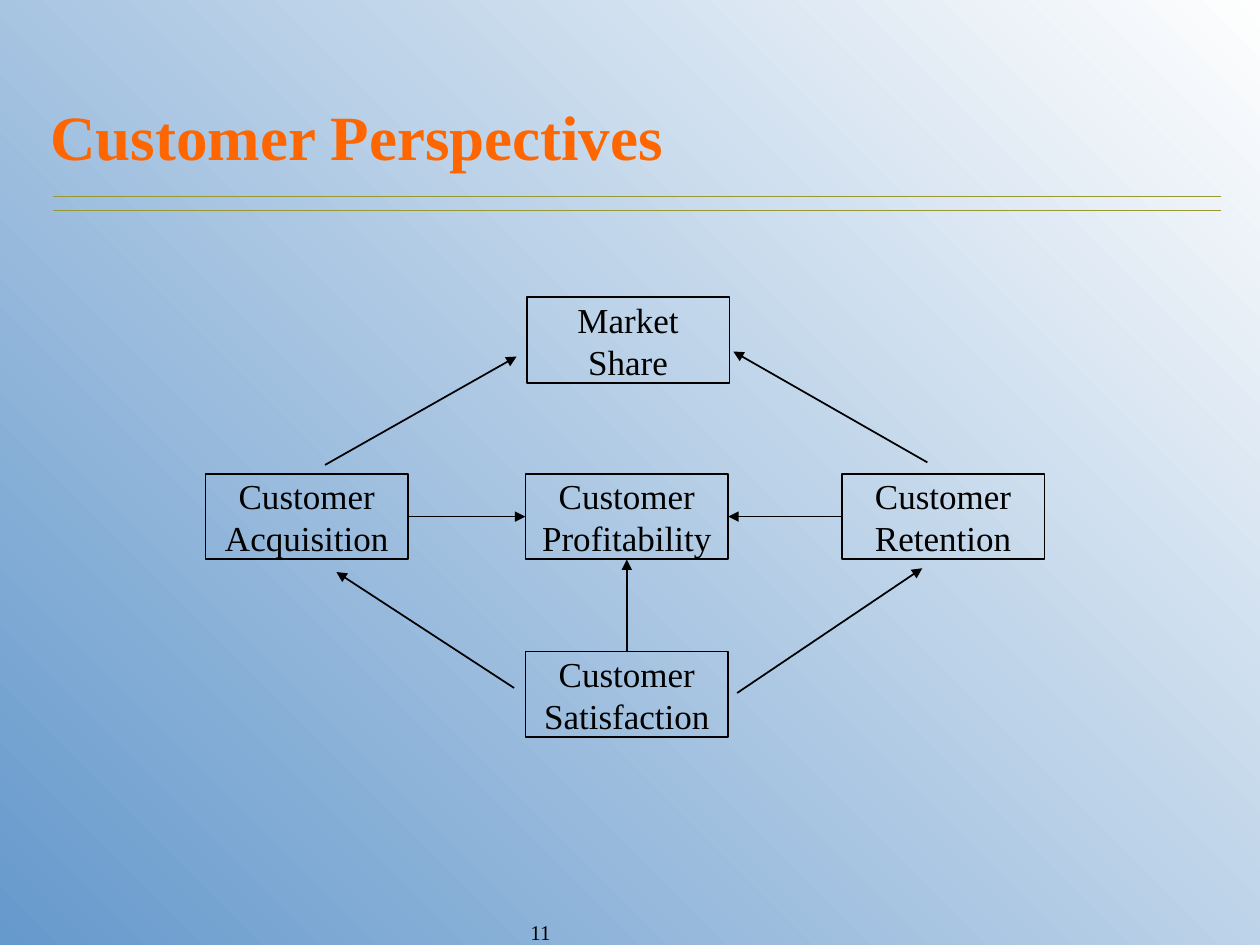
from lxml import etree
from pptx import Presentation
from pptx.dml.color import RGBColor
from pptx.enum.shapes import MSO_CONNECTOR, MSO_SHAPE
from pptx.enum.text import MSO_ANCHOR, PP_ALIGN
from pptx.oxml.ns import qn
from pptx.util import Pt

PX = 9144
FONT = "Times New Roman"
COLORS = {
    "title": "FF6600",
    "ink": "000000",
    "rule": "999933",
    "bg_light": "FEFEFE",
    "bg_dark": "6699CC",
}


def add_run(p, text, size, color, bold=False):
    r = p.add_run()
    r.text = text
    r.font.name = FONT
    r.font.size = Pt(size)
    r.font.bold = bold
    r.font.color.rgb = RGBColor.from_string(COLORS[color])


def add_line(x1, y1, x2, y2, color, arrow=False):
    line = s.shapes.add_connector(
        MSO_CONNECTOR.STRAIGHT, x1 * PX, y1 * PX, x2 * PX, y2 * PX)
    line.line.color.rgb = RGBColor.from_string(COLORS[color])
    line.line.width = Pt(1)
    if arrow:
        ln = line.line._get_or_add_ln()
        etree.SubElement(ln, qn("a:tailEnd"), type="triangle")
    etree.SubElement(line._element.spPr, qn("a:effectLst"))
    return line


prs = Presentation()
prs.slide_width = 1000 * PX
prs.slide_height = 750 * PX
s = prs.slides.add_slide(prs.slide_layouts[5])

fill = s.background.fill
fill.gradient()
fill.gradient_angle = 225
for stop, key in zip(fill.gradient_stops, ("bg_light", "bg_dark")):
    stop.color.rgb = RGBColor.from_string(COLORS[key])

title = s.shapes.title
title.left, title.top, title.width, title.height = 40 * PX, 57 * PX, 925 * PX, 100 * PX
tf = title.text_frame
tf.margin_left = tf.margin_right = tf.margin_top = tf.margin_bottom = 0
tf.vertical_anchor = MSO_ANCHOR.MIDDLE
p = tf.paragraphs[0]
p.alignment = PP_ALIGN.LEFT
add_run(p, "Customer Perspectives", 36, "title", bold=True)

BOX_W, BOX_H = 161, 68
boxes = {}
for name, x, y, lines in [
    ("share", 418, 236, ["Market Share"]),
    ("profitability", 417, 376, ["Customer", "Profitability"]),
    ("satisfaction", 417, 517, ["Customer Satisfaction"]),
    ("acquisition", 163, 376, ["Customer Acquisition"]),
    ("retention", 668, 376, ["Customer Retention"]),
]:
    sp = s.shapes.add_shape(
        MSO_SHAPE.RECTANGLE, x * PX, y * PX, BOX_W * PX, BOX_H * PX)
    sp.shadow.inherit = False
    sp.fill.background()
    sp.line.color.rgb = RGBColor.from_string(COLORS["ink"])
    sp.line.width = Pt(1)
    tf = sp.text_frame
    tf.word_wrap = True
    tf.vertical_anchor = MSO_ANCHOR.MIDDLE
    for i, text in enumerate(lines):
        p = tf.add_paragraph() if i else tf.paragraphs[0]
        p.alignment = PP_ALIGN.CENTER
        add_run(p, text, 20, "ink")
    boxes[name] = sp

for ends in [
    (585, 550, 732, 451),
    (408, 546, 267, 454),
    (258, 369, 410, 283),
    (736, 367, 582, 279),
]:
    add_line(*ends, "ink", arrow=True)

for source, source_side, target_side in [
    ("satisfaction", 0, 2),
    ("acquisition", 3, 1),
    ("retention", 1, 3),
]:
    line = add_line(0, 0, 0, 0, "ink", arrow=True)
    line.begin_connect(boxes[source], source_side)
    line.end_connect(boxes["profitability"], target_side)

for y in (167, 156):
    add_line(42, y, 969, y, "rule")

number = s.shapes.add_textbox(397 * PX, 717 * PX, 208 * PX, 33 * PX)
tf = number.text_frame
tf.word_wrap = True
tf.vertical_anchor = MSO_ANCHOR.BOTTOM
tf.margin_left = 24 * PX
tf.margin_right = tf.margin_top = tf.margin_bottom = 0
add_run(tf.paragraphs[0], "11", 12, "ink")

prs.save("out.pptx")
